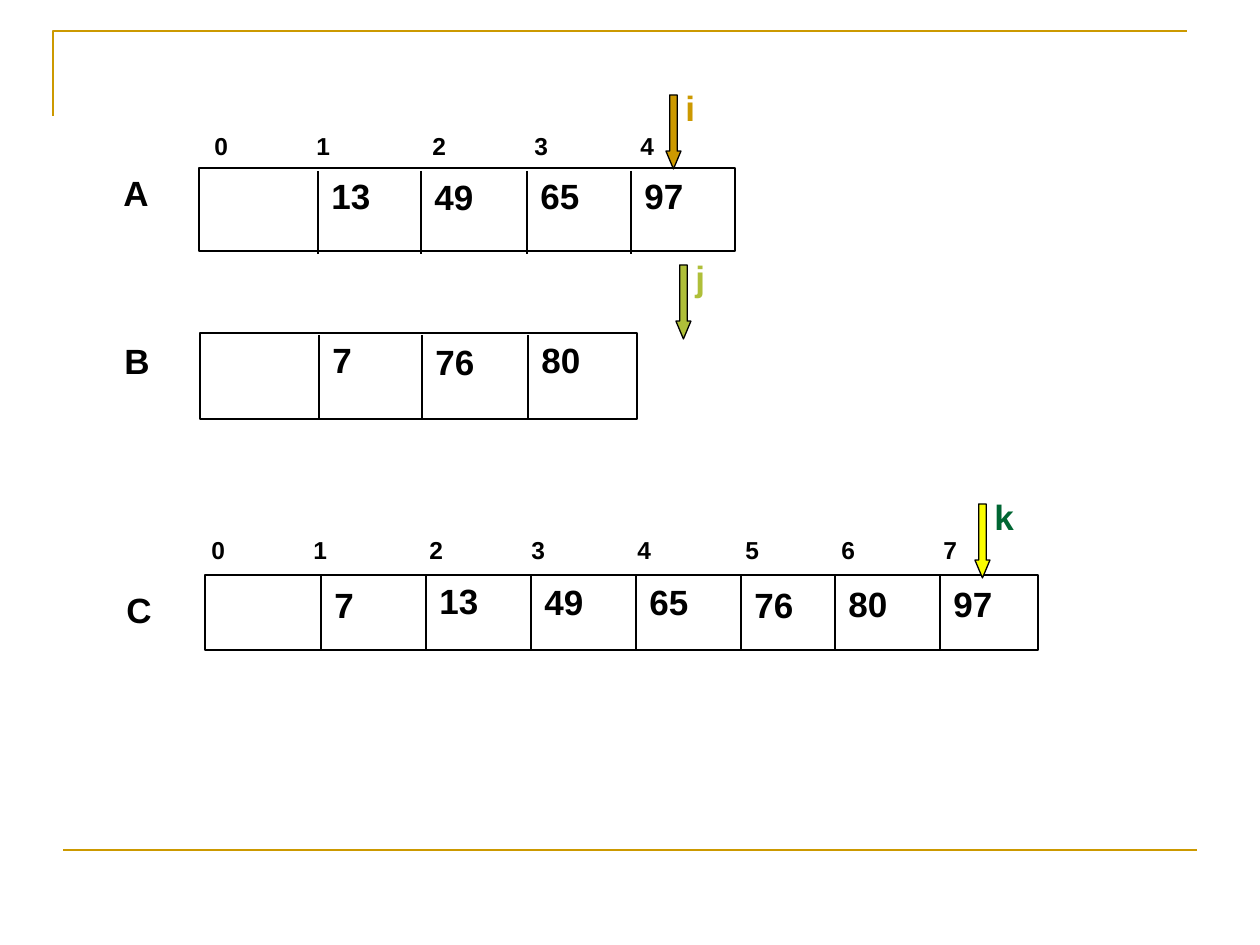
import pptx
import pptx.util
import pptx.dml.color
import pptx.enum.shapes
import pptx.enum.text
import pptx.oxml
import pptx.oxml.ns
from lxml import etree

SHAPES = pptx.enum.shapes.MSO_SHAPE
THEME = {
    "ink": "000000",
    "paper": "FFFFFF",
    "gold": "CC9900",
    "olive": "AFBF39",
    "yellow": "FAFD00",
    "green": "006633",
    "index": {"name": "Arial", "size": pptx.util.Pt(14), "bold": True},
    "value": {"name": "Arial", "size": pptx.util.Pt(20), "bold": True},
    "thin": 0.75,
    "rule": 1.5,
}

ARRAYS = [
    {
        "name": ("A", 111, 165),
        "frame": (199, 168, 536, 83),
        "dividers": (171, 254),
        "cells": [(318, "13", 168), (421, "49", 169), (527, "65", 168), (631, "97", 168)],
        "indices": (202, 125, 536, 5),
    },
    {
        "name": ("B", 112, 333),
        "frame": (200, 333, 437, 86),
        "dividers": (335, 418),
        "cells": [(319, "7", 332), (422, "76", 334), (528, "80", 332)],
    },
    {
        "name": ("C", 114, 582),
        "frame": (205, 575, 833, 75),
        "dividers": (575, 651),
        "cells": [
            (321, "7", 577), (426, "13", 573), (531, "49", 574), (636, "65", 574),
            (741, "76", 577), (835, "80", 576), (940, "97", 576),
        ],
        "indices": (199, 529, 839, 8),
    },
]
INDEX_TABS = [102, 218, 320, 426, 534, 630, 732]
POINTERS = [
    ("i", 666, 95, "gold", "gold"),
    ("j", 676, 265, "olive", "olive"),
    ("k", 975, 504, "yellow", "green"),
]
CORNER = [(53, 116), (53, 31), (1187, 31)]
FOOT_RULE = (63, 850, 1197, 850)

SCALE = 914400 / 126


def px(*lengths):
    return [round(length * SCALE) for length in lengths]


def color(key):
    return pptx.dml.color.RGBColor.from_string(THEME[key])


def style_line(line, key, weight):
    line.color.rgb = color(key)
    line.width = pptx.util.Pt(THEME[weight])


def add_line(page, ends, key="ink", weight="thin"):
    line = page.shapes.add_connector(pptx.enum.shapes.MSO_CONNECTOR.STRAIGHT, *px(*ends))
    style_line(line.line, key, weight)
    etree.SubElement(line._element.spPr, pptx.oxml.ns.qn("a:effectLst"))


def add_shape(shapes, kind, place, fill):
    shape = shapes.add_shape(kind, *px(*place))
    shape.shadow.inherit = False
    shape.fill.solid()
    shape.fill.fore_color.rgb = color(fill)
    style_line(shape.line, "ink", "thin")
    return shape


def add_text(shapes, text, place, style="value", key="ink", tabs=()):
    box = shapes.add_textbox(*px(*place))
    box.text_frame.word_wrap = True
    box.text_frame.auto_size = pptx.enum.text.MSO_AUTO_SIZE.SHAPE_TO_FIT_TEXT
    para = box.text_frame.paragraphs[0]
    if tabs:
        stops = etree.SubElement(para._p.get_or_add_pPr(), pptx.oxml.ns.qn("a:tabLst"))
        for position in px(*tabs):
            etree.SubElement(stops, pptx.oxml.ns.qn("a:tab"), pos=str(position), algn="l")
    span = para.add_run()
    span.text = text
    for name, value in THEME[style].items():
        setattr(span.font, name, value)
    span.font.color.rgb = color(key)


def add_array(page, array):
    add_shape(page.shapes, SHAPES.RECTANGLE, array["frame"], "paper")
    top, bottom = array["dividers"]
    for left, value, text_top in array["cells"]:
        add_line(page, (left, top, left, bottom))
        add_text(page.shapes, value, (left + 1, text_top, 84, 55))
    name, left, name_top = array["name"]
    add_text(page.shapes, name, (left, name_top, 84, 55))
    if "indices" in array:
        left, index_top, width, count = array["indices"]
        text = "\t".join(str(number) for number in range(count))
        add_text(page.shapes, text, (left, index_top, width, 43), "index",
                 tabs=INDEX_TABS[:count - 1])


def add_pointer(page, name, left, top, fill, key):
    group = page.shapes.add_group_shape()
    arrow = add_shape(group.shapes, SHAPES.DOWN_ARROW, (left, top, 15, 74), fill)
    arrow.adjustments[0] = 0.5
    arrow.adjustments[1] = 1.19
    add_text(group.shapes, name, (left + 7, top - 15, 67, 55), key=key)


def add_rules(page):
    outline = page.shapes.build_freeform(*CORNER[0], scale=SCALE)
    outline.add_line_segments(CORNER[1:], close=False)
    corner = outline.convert_to_shape()
    corner.shadow.inherit = False
    corner.fill.background()
    style_line(corner.line, "gold", "rule")
    add_line(page, FOOT_RULE, "gold", "rule")


def main():
    deck = pptx.Presentation()
    deck.slide_width, deck.slide_height = px(1260, 945)
    page = deck.slides.add_slide(deck.slide_layouts[6])
    add_rules(page)
    for array in ARRAYS:
        add_array(page, array)
    for pointer in POINTERS:
        add_pointer(page, *pointer)
    deck.save("out.pptx")


if __name__ == "__main__":
    main()
